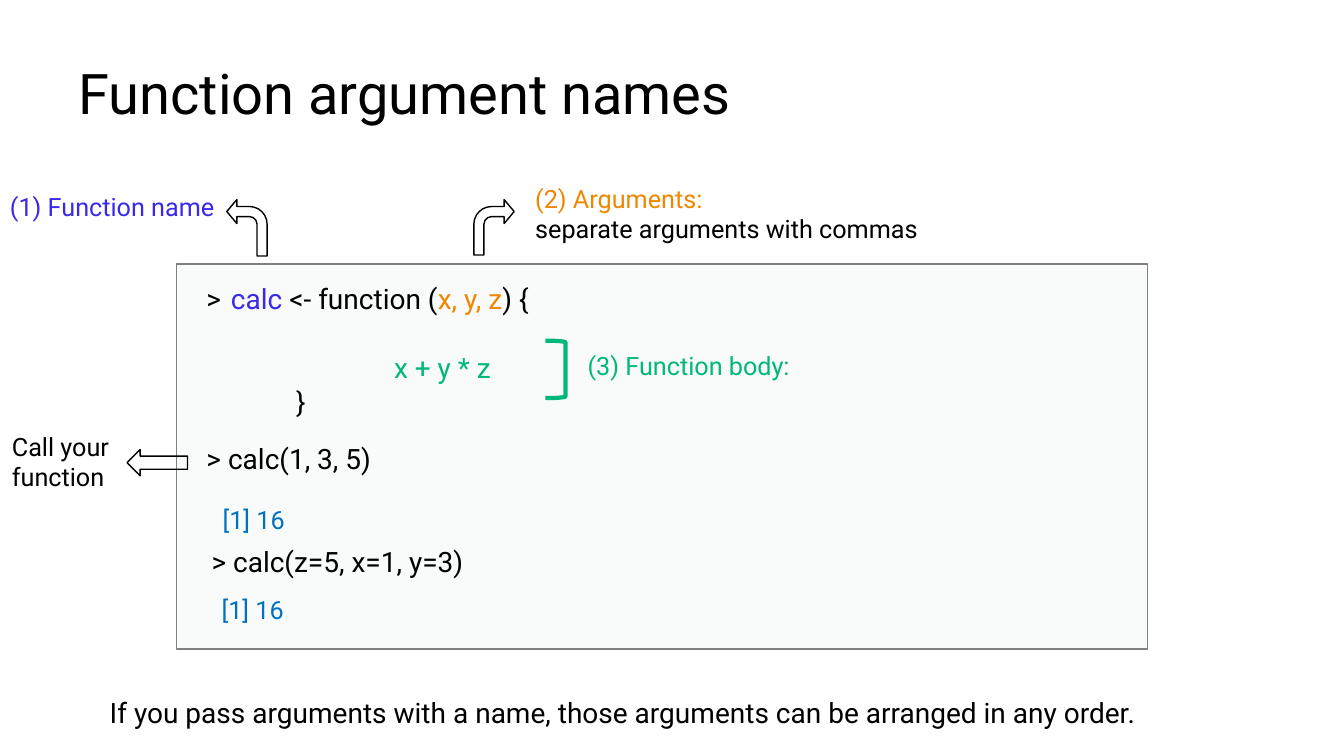
from dataclasses import dataclass

from pptx import Presentation
from pptx import util as u
from pptx.dml.color import RGBColor
from pptx.enum import shapes, text

EMU_PER_PX = 9144  # 100 px to the inch
FONT = "Roboto"
TITLE_SIZE, CODE_SIZE, NOTE_SIZE = 40, 20, 18
BLACK, GREY, PANEL = "000000", "808080", "F9FAFA"
NAME_COLOR, ARGUMENT_COLOR, BODY_COLOR, RESULT_COLOR = "3A28EB", "F08700", "00B879", "0070C0"
BEND = (0.25, 0.298, 0.25, 0.438)
GEOMETRY = shapes.MSO_SHAPE


@dataclass(frozen=True)
class Box:
    left: int
    top: int
    width: int
    height: int


@dataclass(frozen=True)
class Run:
    words: str
    color: str = BLACK
    size: int = NOTE_SIZE


@dataclass(frozen=True)
class Line:
    """One paragraph: indent in px, space before in points."""
    runs: tuple[Run, ...]
    indent: int = 0
    space_before: int = 0


@dataclass(frozen=True)
class Label:
    box: Box
    lines: tuple[Line, ...]
    wrap: bool = False


@dataclass(frozen=True)
class Figure:
    box: Box
    geometry: shapes.MSO_SHAPE
    line_color: str = BLACK
    line_width: int = 1
    fill: str | None = None
    adjustments: tuple[float, ...] = ()
    rotation: int = 0
    mirrored: bool = False


def code(words: str, color: str = BLACK) -> Run:
    return Run(words, color, CODE_SIZE)


def label(box: Box, *runs: Run, wrap: bool = False) -> Label:
    """Describe a label with one run on each line."""
    return Label(box, tuple(Line((run,)) for run in runs), wrap)


FIGURES = (
    Figure(Box(175, 262, 963, 382), GEOMETRY.RECTANGLE, GREY, fill=PANEL),
    Figure(Box(470, 198, 40, 55), GEOMETRY.BENT_ARROW, adjustments=BEND),
    Figure(Box(225, 198, 40, 56), GEOMETRY.BENT_ARROW, adjustments=BEND, mirrored=True),
    Figure(Box(541, 338, 20, 57), GEOMETRY.RIGHT_BRACKET, BODY_COLOR, line_width=3),
    Figure(Box(126, 446, 60, 26), GEOMETRY.RIGHT_ARROW, rotation=180),
)

DEFINITION = (
    Line((
        code(">"),
        Run(" ", NAME_COLOR, 28),
        code("calc ", NAME_COLOR),
        code("<- function ("),
        code("x, y, z", ARGUMENT_COLOR),
        code(") {"),
    )),
    Line((code("x + y * z", BODY_COLOR),), indent=186, space_before=24),
    Line((code("}"),), indent=89),
)

CALLOUTS = (
    label(Box(0, 185, 225, 40), Run("(1) Function name", NAME_COLOR)),
    label(
        Box(521, 177, 524, 71),
        Run("(2) Arguments:", ARGUMENT_COLOR),
        Run("separate arguments with commas"),
        wrap=True,
    ),
    label(Box(573, 343, 226, 40), Run("(3) Function body:", BODY_COLOR)),
    label(Box(2, 423, 196, 71), Run("Call your function"), wrap=True),
)

CONSOLE = (
    Label(Box(195, 263, 1056, 158), DEFINITION, wrap=True),
    label(Box(195, 433, 196, 44), code("> calc(1, 3, 5)")),
    label(Box(211, 495, 86, 40), Run("[1] 16", RESULT_COLOR)),
    label(Box(200, 535, 301, 44), code("> calc(z=5, x=1, y=3)")),
    label(Box(210, 585, 86, 40), Run("[1] 16", RESULT_COLOR)),
)

CONCLUSION = label(
    Box(99, 685, 1093, 44),
    code("If you pass arguments with a name, those arguments can be arranged in any order."),
    wrap=True,
)


def px(length: int) -> u.Emu:
    return u.Emu(length * EMU_PER_PX)


def corners(box: Box) -> dict[str, u.Emu]:
    """Give the position and size of a box in EMU, by attribute name."""
    return {name: px(getattr(box, name)) for name in ("left", "top", "width", "height")}


def rgb(color: str) -> RGBColor:
    return RGBColor.from_string(color)


def apply(target, values: dict) -> None:
    for name, value in values.items():
        setattr(target, name, value)


def write_run(paragraph, run: Run) -> None:
    written = paragraph.add_run()
    written.text = run.words
    apply(written.font, {"name": FONT, "size": u.Pt(run.size)})
    written.font.color.rgb = rgb(run.color)


def draw_figure(slide, figure: Figure) -> None:
    shape = slide.shapes.add_shape(figure.geometry, **corners(figure.box))
    shape.shadow.inherit = False
    shape.rotation = figure.rotation
    for index, value in enumerate(figure.adjustments):
        shape.adjustments[index] = value
    if figure.fill:
        shape.fill.solid()
        shape.fill.fore_color.rgb = rgb(figure.fill)
    else:
        shape.fill.background()
    shape.line.color.rgb = rgb(figure.line_color)
    shape.line.width = u.Pt(figure.line_width)
    if figure.mirrored:
        shape.element.spPr.xfrm.set("flipH", "1")


def draw_label(slide, item: Label) -> None:
    shape = slide.shapes.add_textbox(**corners(item.box))
    frame = shape.text_frame
    apply(frame, {"word_wrap": item.wrap, "auto_size": text.MSO_AUTO_SIZE.SHAPE_TO_FIT_TEXT})
    for index, line in enumerate(item.lines):
        paragraph = frame.add_paragraph() if index else frame.paragraphs[0]
        paragraph.space_before = u.Pt(line.space_before)
        properties = shape.element.txBody.p_lst[index].get_or_add_pPr()
        properties.set("marL", str(px(line.indent)))
        for run in line.runs:
            write_run(paragraph, run)


def draw_title(slide, box: Box, words: str) -> None:
    title = slide.shapes.title
    apply(title, corners(box))
    apply(title.text_frame, {
        "vertical_anchor": text.MSO_ANCHOR.TOP,
        "auto_size": text.MSO_AUTO_SIZE.NONE,
        "word_wrap": True,
    })
    paragraph = title.text_frame.paragraphs[0]
    apply(paragraph, {"alignment": text.PP_ALIGN.LEFT, "line_spacing": 0.9})
    write_run(paragraph, Run(words, size=TITLE_SIZE))


def main() -> None:
    presentation = Presentation()
    apply(presentation, {"slide_width": px(1333), "slide_height": px(750)})
    slide = presentation.slides.add_slide(presentation.slide_layouts.get_by_name("Title Only"))
    draw_title(slide, Box(68, 61, 894, 145), "Function argument names")
    for figure in FIGURES:
        draw_figure(slide, figure)
    for item in (*CALLOUTS, *CONSOLE, CONCLUSION):
        draw_label(slide, item)
    presentation.save("out.pptx")


if __name__ == "__main__":
    main()
